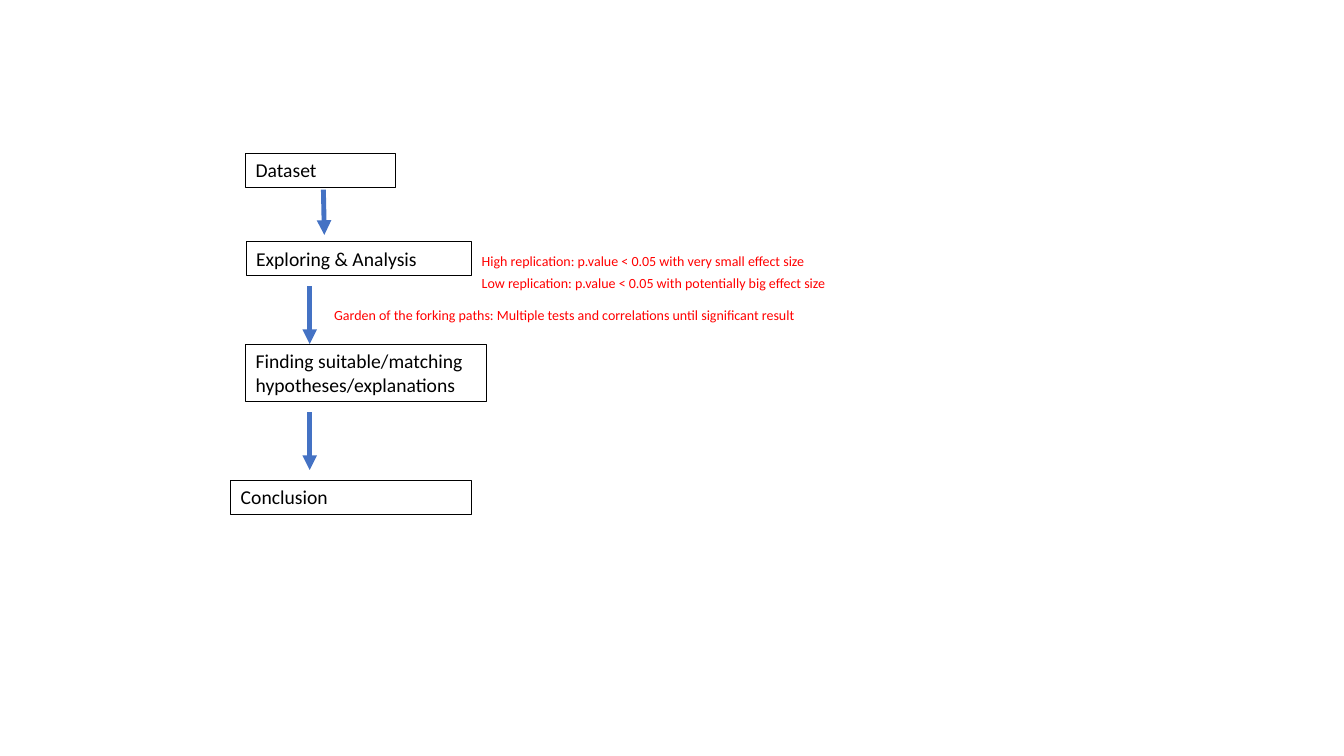
from dataclasses import dataclass

from lxml.etree import SubElement
from pptx import Presentation
from pptx.dml.color import RGBColor
from pptx.enum.shapes import MSO_CONNECTOR as Connector, MSO_SHAPE as Shape
from pptx.enum.text import MSO_ANCHOR as Anchor, PP_ALIGN as Align
from pptx.oxml.ns import qn
from pptx.util import Pt


@dataclass(frozen=True)
class Theme:
    font: str = "Calibri"
    ink: str = "000000"
    warning: str = "FF0000"
    arrow: str = "4472C4"
    step_size: float = 14
    note_size: float = 10
    border_width: float = 0.75
    arrow_width: float = 3.5


def write_text(frame, text, *, font, size, color, align=Align.LEFT):
    frame.word_wrap = True
    frame.vertical_anchor = Anchor.TOP
    paragraph = frame.paragraphs[0]
    paragraph.alignment = align
    run = paragraph.add_run()
    run.text = text
    run.font.name = font
    run.font.size = Pt(size)
    run.font.color.rgb = RGBColor.from_string(color)


class FlowSlide:
    """Draws flow chart elements on one slide; all lengths are in points."""

    def __init__(self, slide, theme):
        self.slide = slide
        self.theme = theme

    def step(self, text, left, top, width, height):
        box = self.slide.shapes.add_shape(
            Shape.RECTANGLE, Pt(left), Pt(top), Pt(width), Pt(height))
        box.shadow.inherit = False
        box.fill.background()
        box.line.color.rgb = RGBColor.from_string(self.theme.ink)
        box.line.width = Pt(self.theme.border_width)
        write_text(box.text_frame, text, font=self.theme.font,
                   size=self.theme.step_size, color=self.theme.ink)

    def note(self, text, left, top, width=359.3, height=19.4):
        box = self.slide.shapes.add_textbox(
            Pt(left), Pt(top), Pt(width), Pt(height))
        write_text(box.text_frame, text, font=self.theme.font,
                   size=self.theme.note_size, color=self.theme.warning)

    def arrow(self, start_x, start_y, end_x, end_y):
        arrow = self.slide.shapes.add_connector(
            Connector.STRAIGHT, Pt(start_x), Pt(start_y), Pt(end_x), Pt(end_y))
        arrow.line.color.rgb = RGBColor.from_string(self.theme.arrow)
        arrow.line.width = Pt(self.theme.arrow_width)
        SubElement(arrow.line._get_or_add_ln(), qn("a:tailEnd"), type="triangle")
        SubElement(arrow._element.spPr, qn("a:effectLst"))


def main():
    deck = Presentation()
    deck.slide_width, deck.slide_height = Pt(960), Pt(540)
    blank_layout = deck.slide_layouts[6]
    flow = FlowSlide(deck.slides.add_slide(blank_layout), Theme())

    steps = [
        ("Dataset", 175.5, 109.4, 106.8, 24.5),
        ("Exploring & Analysis", 175.9, 172.5, 161, 24.5),
        ("Finding suitable/matching hypotheses/explanations", 175.5, 245.8, 172, 41),
        ("Conclusion", 164.9, 343.2, 172, 24.5),
    ]
    arrows = [
        (231, 135.5, 231.7, 167.8),
        (221.2, 204.5, 221.2, 245.7),
        (221.2, 294.5, 221.2, 335.7),
    ]
    notes = [
        ("High replication: p.value < 0.05 with very small effect size", 337, 176.6),
        ("Low replication: p.value < 0.05 with potentially big effect size", 337, 192.4),
        ("Garden of the forking paths: Multiple tests and correlations "
         "until significant result", 231.6, 215.4),
    ]
    for step in steps:
        flow.step(*step)
    for arrow in arrows:
        flow.arrow(*arrow)
    for note in notes:
        flow.note(*note)

    deck.save("out.pptx")


if __name__ == "__main__":
    main()
